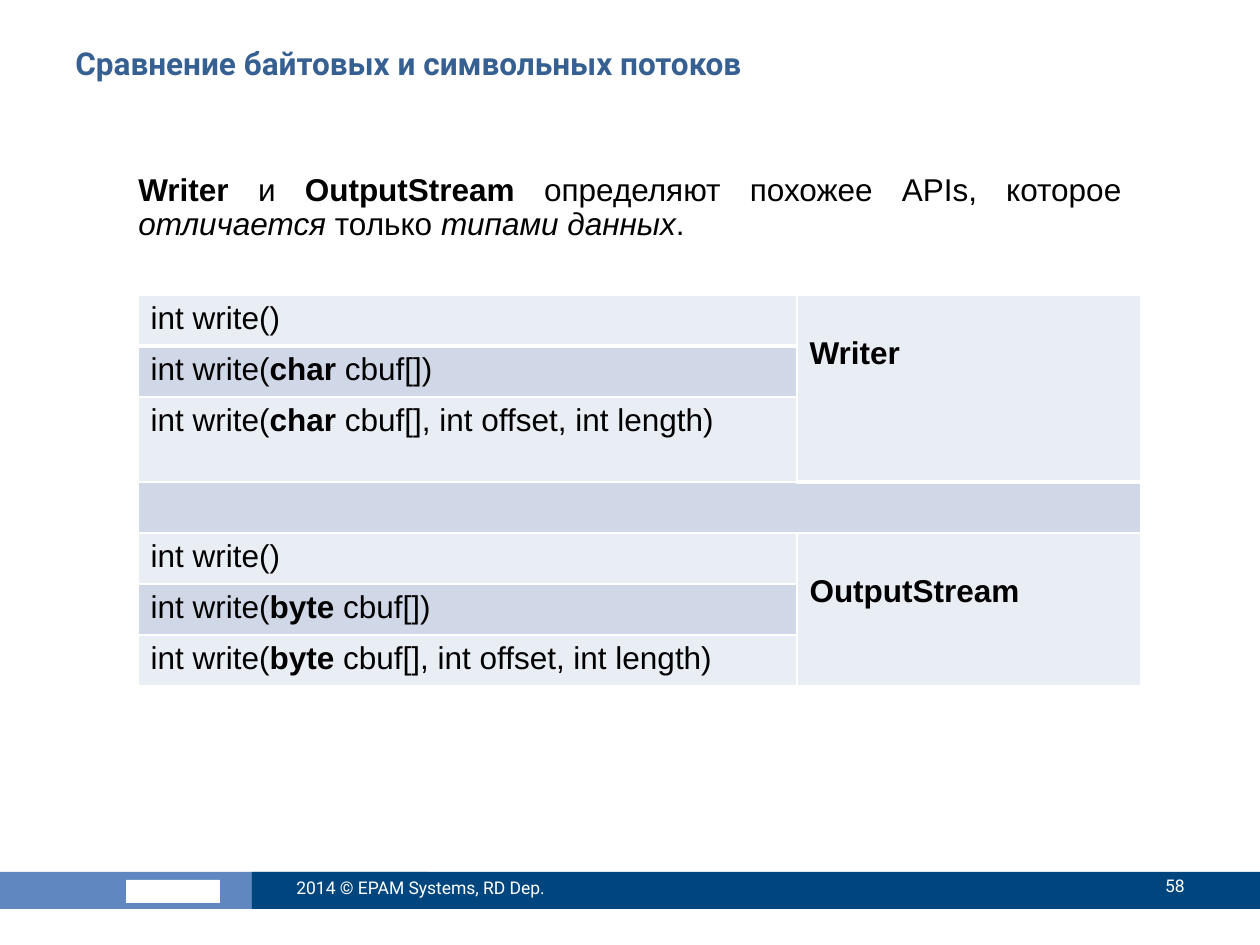
"""Build a slide comparing the byte and character stream methods."""
import pptx
import pptx.dml.color
import pptx.enum.shapes
import pptx.enum.text
import pptx.oxml
import pptx.oxml.ns
import pptx.util

RGBColor = pptx.dml.color.RGBColor
ALIGN = pptx.enum.text.PP_ALIGN
ANCHOR = pptx.enum.text.MSO_ANCHOR

BLACK = RGBColor(0x00, 0x00, 0x00)
WHITE = RGBColor(0xFF, 0xFF, 0xFF)
TITLE_BLUE = RGBColor(0x37, 0x60, 0x92)
LIGHT_BLUE = RGBColor(0x60, 0x87, 0xBF)
DARK_BLUE = RGBColor(0x00, 0x46, 0x7E)
BANDS = (RGBColor(0xE9, 0xED, 0xF4), RGBColor(0xD0, 0xD8, 0xE8))

TITLE = [("Сравнение байтовых и символьных потоков", "b")]
INTRO = [
    ("Writer ", "b"), ("и ", ""), ("OutputStream ", "b"),
    ("определяют похожее APIs, которое ", ""), ("отличается ", "i"),
    ("только ", ""), ("типами данных", "i"), (".", ""),
]
COPYRIGHT = [("2014 © EPAM Systems, RD Dep.", "")]
PAGE_NUMBER = [("58", "")]
STREAMS = [("Writer", "char "), ("OutputStream", "byte ")]
ARGUMENTS = ["cbuf[])", "cbuf[], int offset, int length)"]

BARS = [
    ((-3, 872, 432, 37), LIGHT_BLUE),
    ((126, 880, 94, 23), WHITE),
    ((252, 872, 1008, 37), DARK_BLUE),
]
TABLE_LEFT, TABLE_TOP = 138, 295
COLUMN_WIDTHS = [659, 344]
ROW_HEIGHTS = [51, 51, 83, 51, 51, 51, 51]
GROUP_ROWS = 3
NAME_MARGIN = 41


def px(value):
    return pptx.util.Emu(round(value * 914400 / 126))


def write_text(frame, runs, size=18, font="Arial", color=BLACK,
               align=ALIGN.LEFT, line_spacing=None):
    paragraph = frame.paragraphs[0]
    paragraph.alignment = align
    paragraph.line_spacing = line_spacing
    for text, style in runs:
        run = paragraph.add_run()
        run.text = text
        run.font.name = font
        run.font.size = pptx.util.Pt(size)
        run.font.color.rgb = color
        run.font.bold = "b" in style
        run.font.italic = "i" in style


def add_text(slide, box, runs, anchor=ANCHOR.TOP, **text_format):
    frame = slide.shapes.add_textbox(*map(px, box)).text_frame
    frame.word_wrap = True
    frame.vertical_anchor = anchor
    write_text(frame, runs, **text_format)


def add_bar(slide, box, color):
    shape = slide.shapes.add_shape(
        pptx.enum.shapes.MSO_SHAPE.RECTANGLE, *map(px, box))
    shape.shadow.inherit = False
    shape.fill.solid()
    shape.fill.fore_color.rgb = color
    shape.line.fill.background()


def style_cell(cell, color, bottom):
    cell.fill.solid()
    cell.fill.fore_color.rgb = color
    properties = cell._tc.get_or_add_tcPr()
    widths = {"L": 1, "R": 1, "T": 1, "B": bottom}
    for position, (side, width) in enumerate(widths.items()):
        border = pptx.oxml.parse_xml(
            f'<a:ln{side} {pptx.oxml.ns.nsdecls("a")} w="{pptx.util.Pt(width)}">'
            f'<a:solidFill><a:srgbClr val="{WHITE}"/></a:solidFill></a:ln{side}>')
        properties.insert(position, border)


def add_stream_table(slide):
    table = slide.shapes.add_table(
        len(ROW_HEIGHTS), len(COLUMN_WIDTHS), px(TABLE_LEFT), px(TABLE_TOP),
        px(sum(COLUMN_WIDTHS)), px(sum(ROW_HEIGHTS))).table
    for column, width in zip(table.columns, COLUMN_WIDTHS):
        column.width = px(width)
    for index, (row, height) in enumerate(zip(table.rows, ROW_HEIGHTS)):
        row.height = px(height)
        for column, cell in enumerate(row.cells):
            band = index % 2 if column == 0 or index == GROUP_ROWS else 0
            style_cell(cell, BANDS[band], 3 if index == 0 else 1)

    for group, (name, data_type) in enumerate(STREAMS):
        first = group * (GROUP_ROWS + 1)
        methods = [[("int write()", "")]]
        methods += [[("int write(", ""), (data_type, "b"), (arguments, "")]
                    for arguments in ARGUMENTS]
        for offset, runs in enumerate(methods):
            write_text(table.cell(first + offset, 0).text_frame, runs)
        name_cell = table.cell(first, 1)
        name_cell.merge(table.cell(first + GROUP_ROWS - 1, 1))
        name_cell.margin_top = px(NAME_MARGIN)
        write_text(name_cell.text_frame, [(name, "b")])
    table.cell(GROUP_ROWS, 0).merge(table.cell(GROUP_ROWS, 1))


def main():
    presentation = pptx.Presentation()
    presentation.slide_width, presentation.slide_height = px(1260), px(945)
    slide = presentation.slides.add_slide(presentation.slide_layouts[6])
    for box, color in BARS:
        add_bar(slide, box, color)
    add_text(slide, (63, 38, 1134, 98), TITLE, font="Roboto", color=TITLE_BLUE)
    add_text(slide, (126, 168, 1008, 86), INTRO,
             align=ALIGN.JUSTIFY, line_spacing=0.9)
    footer = dict(anchor=ANCHOR.MIDDLE, size=10, font="Roboto", color=WHITE)
    add_text(slide, (284, 863, 336, 50), COPYRIGHT, **footer)
    add_text(slide, (1061, 861, 136, 50), PAGE_NUMBER, align=ALIGN.RIGHT, **footer)
    add_stream_table(slide)
    presentation.save("out.pptx")


if __name__ == "__main__":
    main()
